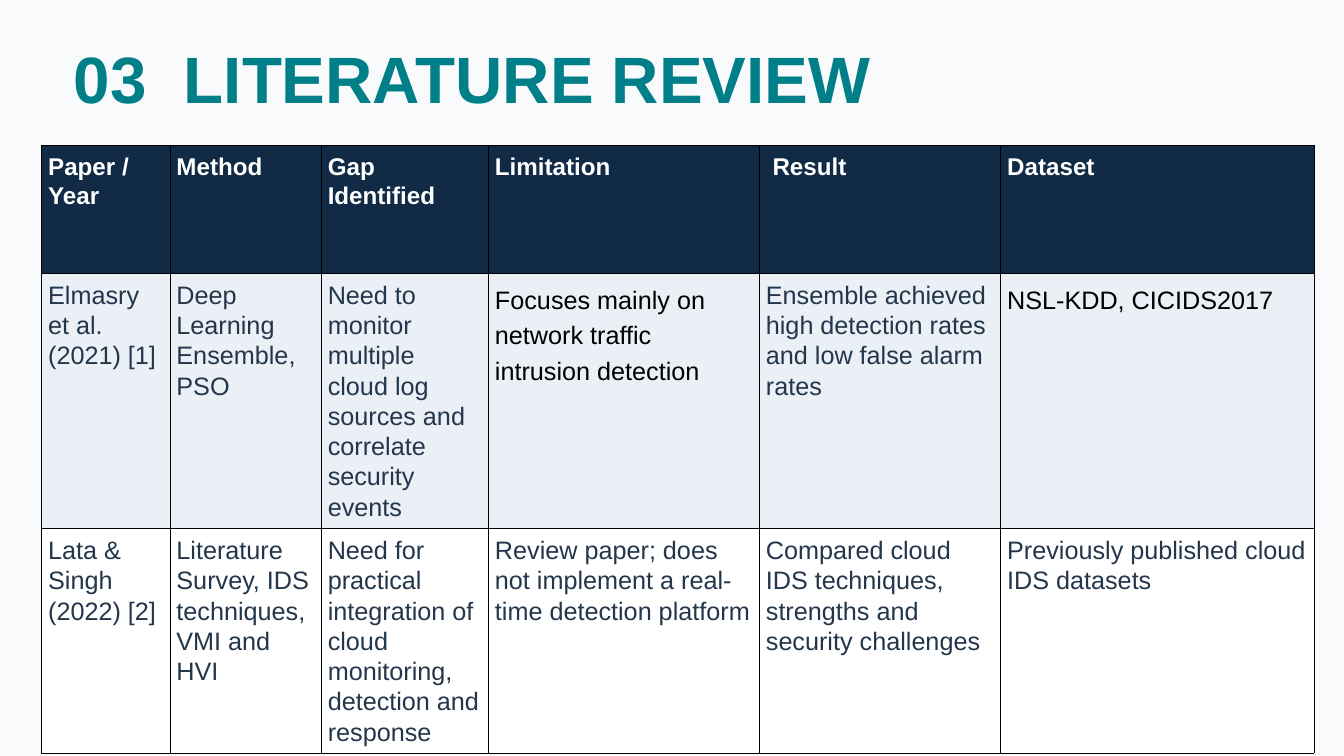
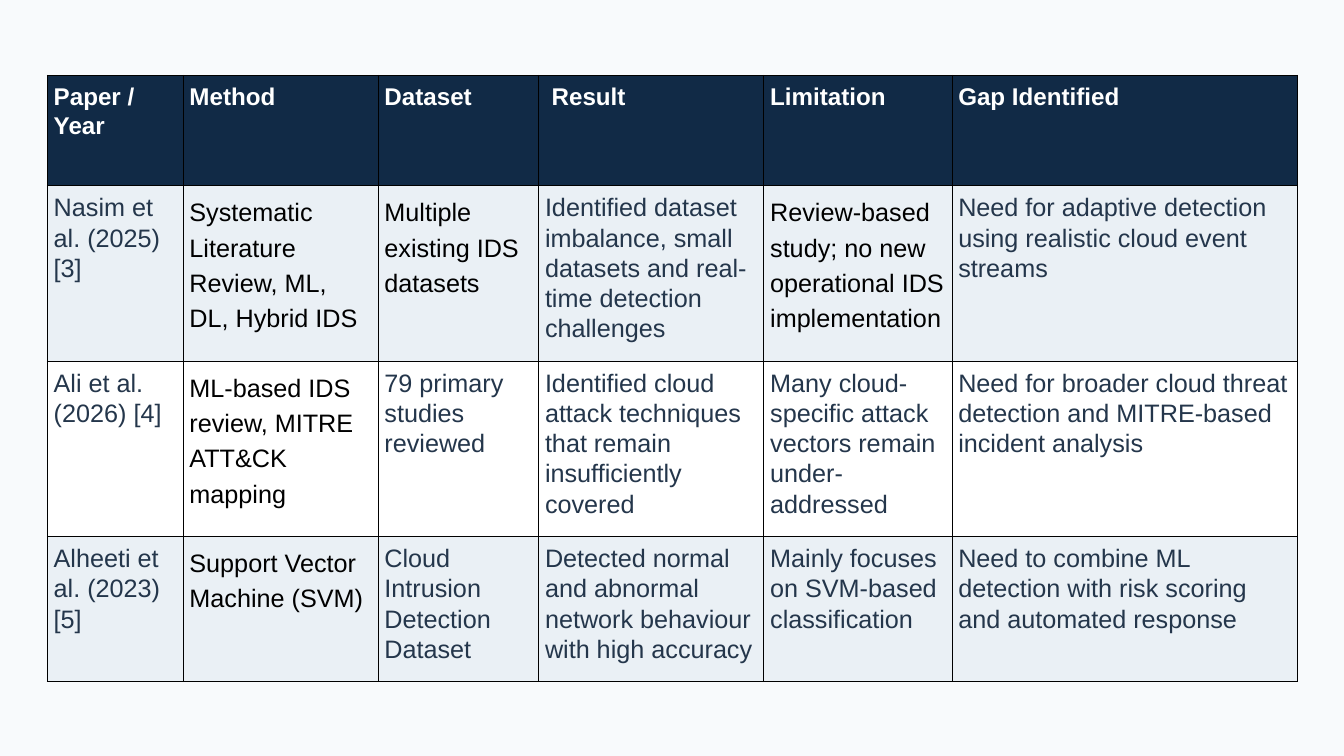
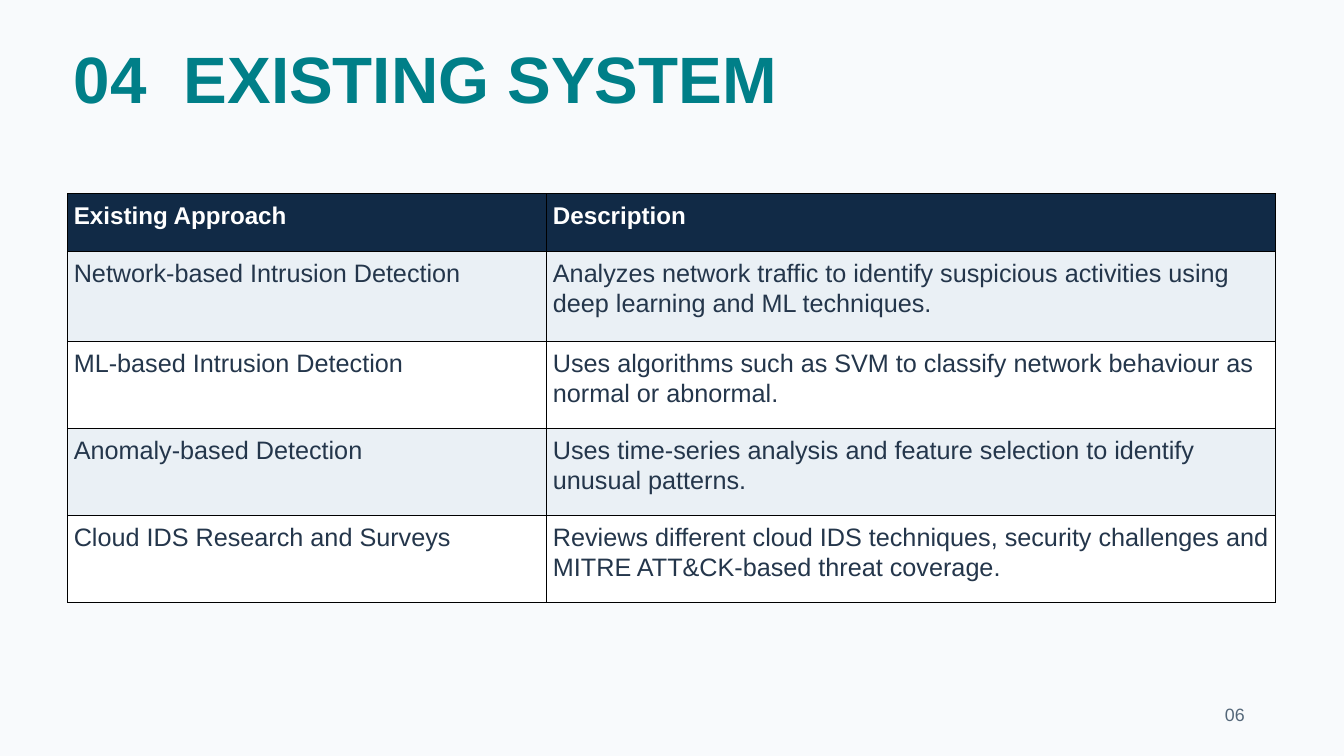
from lxml.etree import SubElement
from pptx import Presentation
from pptx.dml.color import RGBColor
from pptx.enum.text import MSO_ANCHOR, PP_ALIGN
from pptx.oxml.ns import qn
from pptx.util import Cm, Pt

COLORS = {
    "page": "F8FAFC", "teal": "007F88", "navy": "112A46", "ink": "24364B",
    "gray": "546779", "band": "EAF0F5", "white": "FFFFFF", "black": "000000",
}

# Text styles: font values, colour and line height
STYLES = {
    "title": ({"size": Pt(70.2), "bold": True}, "teal", 84.2),
    "head": ({"size": Pt(25.9), "bold": True}, "white", 31),
    "body": ({"size": Pt(27), "bold": False}, "ink", 32.4),
    "loose": ({"size": Pt(27), "bold": False}, "black", 37.8),
    "page": ({"size": Pt(19.1), "bold": False}, "gray", 22.9),
}
FRAME = {
    "margin_left": 0, "margin_right": 0, "margin_top": 0, "margin_bottom": 0,
    "vertical_anchor": MSO_ANCHOR.TOP, "word_wrap": True,
}
PAD = Cm(0.25)
CELL = {
    "margin_left": PAD, "margin_right": PAD, "margin_top": PAD,
    "margin_bottom": PAD, "vertical_anchor": MSO_ANCHOR.TOP,
}
PLAIN = {"first_row": False, "horz_banding": False}

# Slide content: "loose" lists the (row, column) cells in black, open lines
SLIDES = [
    {
        "title": "03\tLITERATURE REVIEW",
        "at": (1.57, 5.49),
        "cols": [4.85, 5.72, 6.32, 10.24, 9.12, 11.84],
        "rows": [4.83, 7.7, 7.7],
        "loose": {(1, 3), (1, 5)},
        "cells": [
            ["Paper / Year", "Method", "Gap Identified", "Limitation", "Result", "Dataset"],
            ["Elmasry et al. (2021) [1]",
             "Deep Learning Ensemble, PSO",
             "Need to monitor multiple cloud log sources and correlate security events",
             "Focuses mainly on network traffic intrusion detection",
             "Ensemble achieved high detection rates and low false alarm rates",
             "NSL-KDD, CICIDS2017"],
            ["Lata & Singh (2022) [2]",
             "Literature Survey, IDS techniques, VMI and HVI",
             "Need for practical integration of cloud monitoring, detection and response",
             "Review paper; does not implement a real-time detection platform",
             "Compared cloud IDS techniques, strengths and security challenges",
             "Previously published cloud IDS datasets"],
        ],
    },
    {
        "at": (1.78, 2.84),
        "cols": [5.13, 7.37, 6.07, 8.51, 7.11, 13.06],
        "rows": [4.17, 6.63, 6.63, 5.49],
        "loose": {(1, 1), (1, 2), (1, 4), (2, 1), (3, 1)},
        "cells": [
            ["Paper / Year", "Method", "Dataset", "Result", "Limitation", "Gap Identified"],
            ["Nasim et al. (2025) [3]",
             "Systematic Literature Review, ML, DL, Hybrid IDS",
             "Multiple existing IDS datasets",
             "Identified dataset imbalance, small datasets and real-time detection challenges",
             "Review-based study; no new operational IDS implementation",
             "Need for adaptive detection using realistic cloud event streams"],
            ["Ali et al. (2026) [4]",
             "ML-based IDS review, MITRE ATT&CK mapping",
             "79 primary studies reviewed",
             "Identified cloud attack techniques that remain insufficiently covered",
             "Many cloud-specific attack vectors remain under-addressed",
             "Need for broader cloud threat detection and MITRE-based incident analysis"],
            ["Alheeti et al. (2023) [5]",
             "Support Vector Machine (SVM)",
             "Cloud Intrusion Detection Dataset",
             "Detected normal and abnormal network behaviour with high accuracy",
             "Mainly focuses on SVM-based classification",
             "Need to combine ML detection with risk scoring and automated response"],
        ],
    },
    {
        "title": "04\tEXISTING SYSTEM",
        "page": "06",
        "at": (2.54, 7.32),
        "cols": [18.11, 27.56],
        "rows": [2.16, 3.4, 3.3, 3.3, 3.3],
        "loose": set(),
        "cells": [
            ["Existing Approach", "Description"],
            ["Network-based Intrusion Detection",
             "Analyzes network traffic to identify suspicious activities using deep learning and ML techniques."],
            ["ML-based Intrusion Detection",
             "Uses algorithms such as SVM to classify network behaviour as normal or abnormal."],
            ["Anomaly-based Detection",
             "Uses time-series analysis and feature selection to identify unusual patterns."],
            ["Cloud IDS Research and Surveys",
             "Reviews different cloud IDS techniques, security challenges and MITRE ATT&CK-based threat coverage."],
        ],
    },
]


def apply(item, values):
    for name, value in values.items():
        setattr(item, name, value)


def write(frame, text, style):
    font, color, height = STYLES[style]
    para = frame.paragraphs[0]
    apply(para, {"alignment": PP_ALIGN.LEFT, "line_spacing": Pt(height)})
    if "\t" in text:
        tabs = SubElement(para._p.get_or_add_pPr(), qn("a:tabLst"))
        SubElement(tabs, qn("a:tab"), pos=str(Cm(4.16)), algn="l")
    run = para.add_run()
    run.text = text
    apply(run.font, {"name": "Arial", **font})
    run.font.color.rgb = RGBColor.from_string(COLORS[color])


deck = Presentation()
apply(deck, {"slide_width": Cm(50.8), "slide_height": Cm(28.58)})
back = deck.slide_master.background.fill
back.solid()
back.fore_color.rgb = RGBColor.from_string(COLORS["page"])

for data in SLIDES:
    slide = deck.slides.add_slide(deck.slide_layouts[5 if "title" in data else 6])

    # Title
    if "title" in data:
        title = slide.shapes.title
        apply(title, {"left": Cm(2.79), "top": Cm(1.45), "width": Cm(43.15), "height": Cm(3.07)})
        apply(title.text_frame, FRAME)
        write(title.text_frame, data["title"], "title")

    # Page number
    if "page" in data:
        box = slide.shapes.add_textbox(Cm(46.3), Cm(26.62), Cm(1.68), Cm(0.74))
        apply(box.text_frame, FRAME)
        write(box.text_frame, data["page"], "page")

    # Table grid
    cols, rows = data["cols"], data["rows"]
    left, top = data["at"]
    table = slide.shapes.add_table(
        len(rows), len(cols), Cm(left), Cm(top), Cm(sum(cols)), Cm(sum(rows))).table
    apply(table, PLAIN)
    for col, width in zip(table.columns, cols):
        col.width = Cm(width)
    for row, height in zip(table.rows, rows):
        row.height = Cm(height)

    # Table cells
    for r, line in enumerate(data["cells"]):
        shade = "navy" if r == 0 else "band" if r % 2 else "white"
        for c, text in enumerate(line):
            cell = table.cell(r, c)
            apply(cell, CELL)
            if text == "Result":
                cell.margin_left = 2 * PAD
            props = cell._tc.get_or_add_tcPr()
            for side in ("lnL", "lnR", "lnT", "lnB"):
                edge = SubElement(props, qn(f"a:{side}"), w=str(Pt(0.37)))
                paint = SubElement(edge, qn("a:solidFill"))
                SubElement(paint, qn("a:srgbClr"), val=COLORS["black"])
            cell.fill.solid()
            cell.fill.fore_color.rgb = RGBColor.from_string(COLORS[shade])
            style = "head" if r == 0 else "loose" if (r, c) in data["loose"] else "body"
            write(cell.text_frame, text, style)

deck.save("out.pptx")
